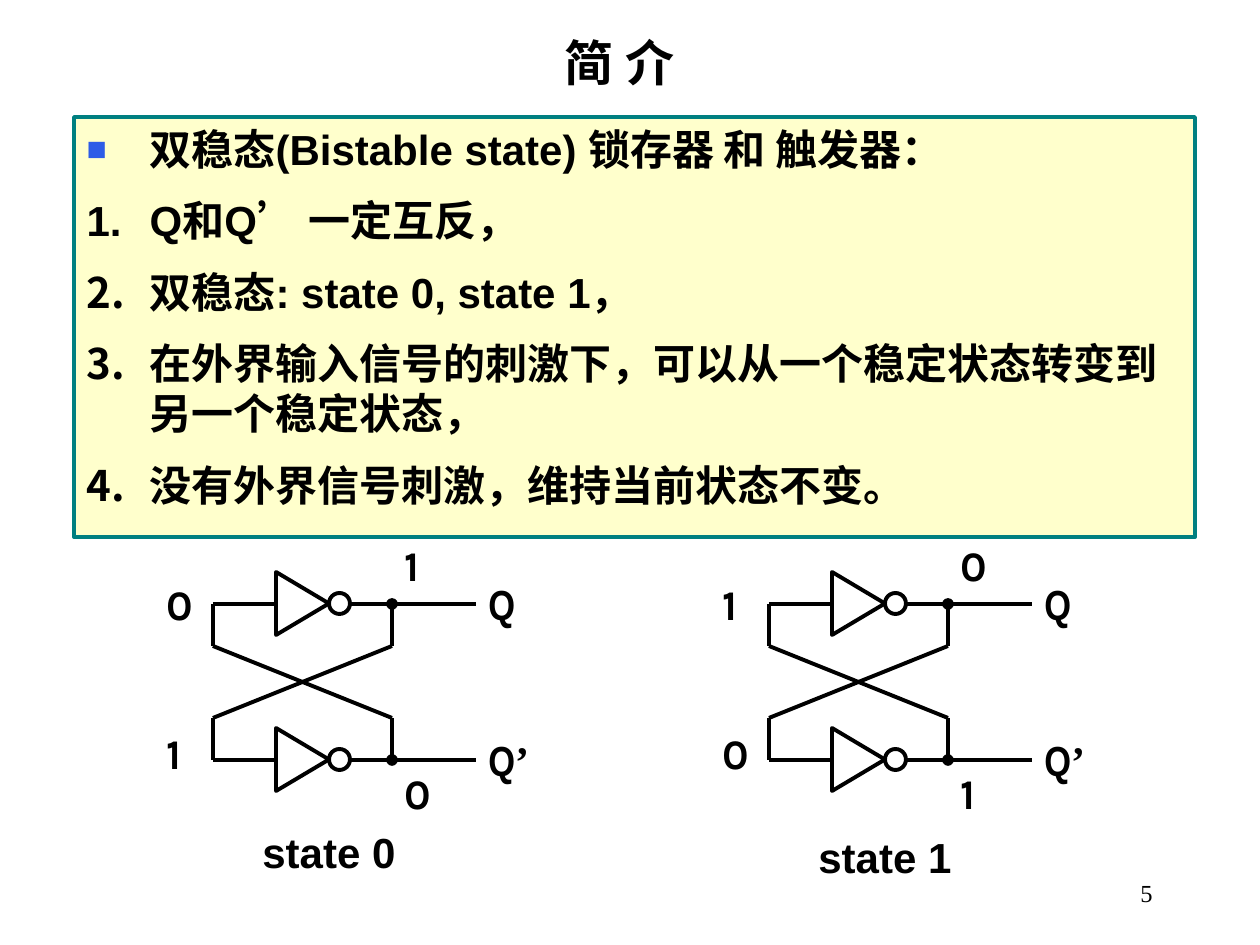
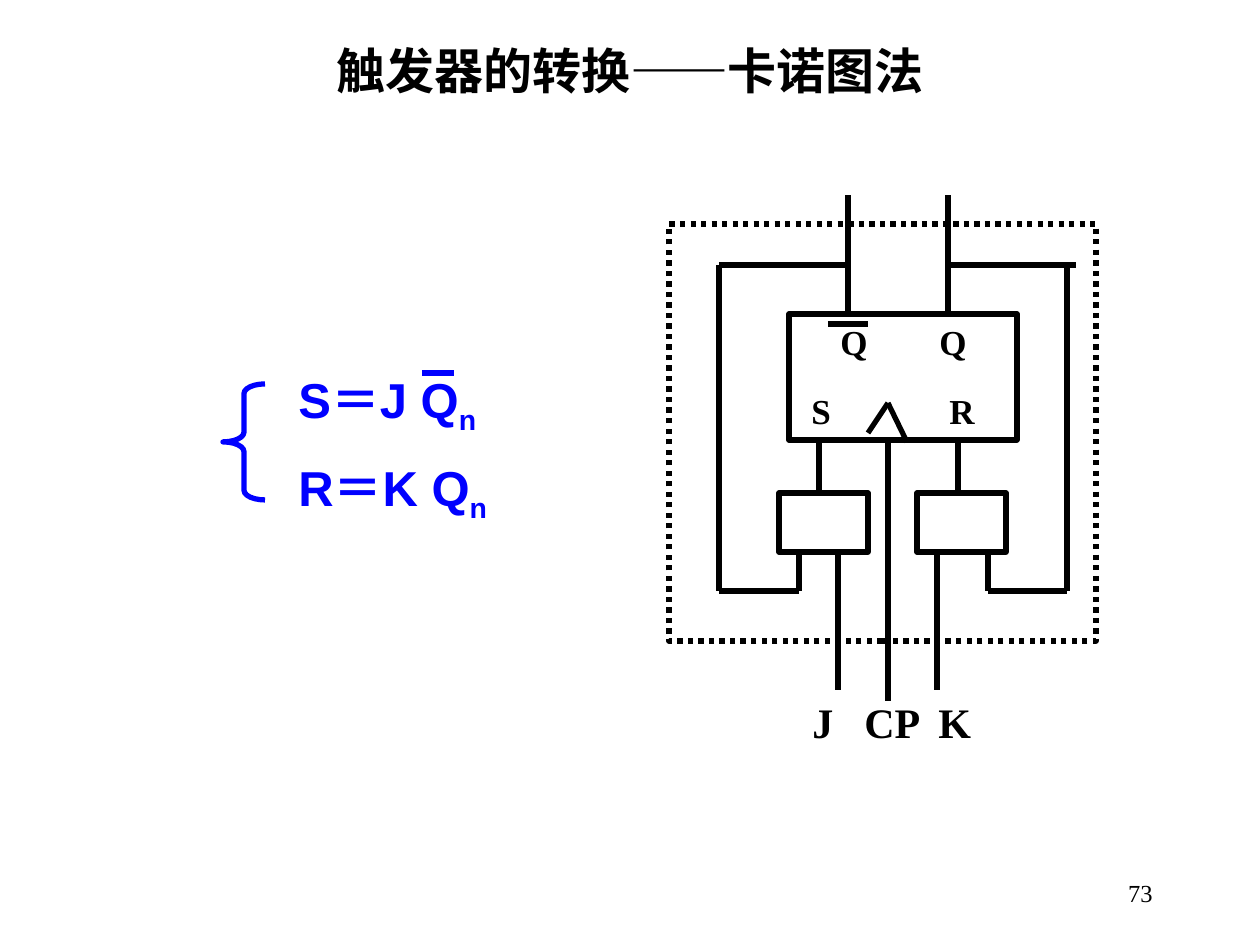
"""Builds two slides on bistable latches and flip-flop conversion."""
from lxml import etree
from pptx import Presentation, util as u
from pptx.dml.color import RGBColor
from pptx.enum import dml, shapes, text
from pptx.oxml.ns import qn

SCALE = 914400 / 126
INK, BLUE, CREAM, TEAL, MARK = "000000", "0000FF", "FFFFCC", "007F80", "2D5CE7"
SANS, SERIF, SLIM, DIGIT = "Arial", "Times New Roman", "Arial Narrow", "Karla"
HAN = "Noto Sans CJK SC"
LEFT, RIGHT, MID = text.PP_ALIGN.LEFT, text.PP_ALIGN.RIGHT, text.PP_ALIGN.CENTER
KIND = shapes.MSO_SHAPE


def px(*nums):
    """Turn pixel lengths into EMU."""
    return [u.Emu(round(n * SCALE)) for n in nums]


def tint(hue):
    """Return the colour for a hex string."""
    return RGBColor.from_string(hue)


def add(node, tag, **attrs):
    """Append a drawing element to a node."""
    return etree.SubElement(node, qn(tag), **attrs)


def style(run, size, face=SANS, hue=INK, bold=True):
    """Format one run for Latin and Chinese text."""
    font = run.font
    font.size, font.name, font.bold = u.Pt(size), face, bold
    font.color.rgb = tint(hue)
    latin = run._r.get_or_add_rPr().find(qn("a:latin"))
    east = etree.Element(qn("a:ea"), typeface=HAN)
    latin.addnext(east)


def place(shape, box):
    """Move a placeholder to a box."""
    shape.left, shape.top, shape.width, shape.height = px(*box)


def label(slide, words, box, size, face=SANS, align=LEFT, bold=True):
    """Add one line of text."""
    item = slide.shapes.add_textbox(*px(*box))
    frame = item.text_frame
    frame.word_wrap = True
    para = frame.paragraphs[0]
    para.text, para.alignment = words, align
    style(para.runs[0], size, face, bold=bold)
    return item


def outline(slide, kind, box, width, hue=INK):
    """Add an unfilled preset shape."""
    item = slide.shapes.add_shape(kind, *px(*box))
    item.shadow.inherit = False
    item.fill.background()
    item.line.color.rgb, item.line.width = tint(hue), u.Pt(width)
    return item


def wire(slide, ends, width, hue=INK, dot=False):
    """Draw a straight line, with a dot at its start if asked."""
    item = slide.shapes.add_connector(shapes.MSO_CONNECTOR.STRAIGHT, *px(*ends))
    item.line.color.rgb, item.line.width = tint(hue), u.Pt(width)
    if dot:
        add(item.line._get_or_add_ln(), "a:headEnd", type="oval")
    add(item._element.spPr, "a:effectLst")


def start(deck, layout, words, box, number):
    """Add a slide with its title and number."""
    slide = deck.slides.add_slide(deck.slide_layouts[layout])
    title = slide.shapes.title
    place(title, box)
    frame = title.text_frame
    frame.text = words
    frame.auto_size = text.MSO_AUTO_SIZE.NONE
    frame.paragraphs[0].alignment = MID
    style(frame.paragraphs[0].runs[0], 28)
    page = label(slide, number, (903, 861, 262, 63), 14, SERIF, RIGHT, False)
    page.text_frame.vertical_anchor = text.MSO_ANCHOR.MIDDLE
    return slide


def points(slide, lines, box):
    """Fill the framed list: a square bullet, then numbers."""
    body = slide.placeholders[1]
    place(body, box)
    body.fill.solid()
    body.fill.fore_color.rgb = tint(CREAM)
    body.line.color.rgb, body.line.width = tint(TEAL), u.Pt(2.25)
    frame = body.text_frame
    frame.text = "\n".join(lines)
    frame.auto_size = text.MSO_AUTO_SIZE.NONE
    for row, para in enumerate(frame.paragraphs):
        para.space_before = u.Pt(12 if row else 0)
        style(para.runs[0], 24)
        props = para._p.get_or_add_pPr()
        props.set("marL", str(u.Inches(0.5)))
        props.set("indent", str(-u.Inches(0.5)))
        if row:
            add(props, "a:buFont", typeface=SANS)
            add(props, "a:buAutoNum", type="arabicPeriod")
        else:
            add(add(props, "a:buClr"), "a:srgbClr", val=MARK)
            add(props, "a:buSzPct", val="80000")
            add(props, "a:buFont", typeface=SANS)
            add(props, "a:buChar", char="■")


def gate(slide, x, y):
    """Draw an inverter with its input and output wires."""
    cone = outline(slide, KIND.ISOSCELES_TRIANGLE, (x + 58, y - 27, 63, 53), 2.25)
    cone.rotation = 90
    outline(slide, KIND.OVAL, (x + 116, y - 11, 21, 21), 2.25)
    for a, b in ((0, 63), (137, 263)):
        wire(slide, (x + a, y, x + b, y), 2.25)


def latch(slide, x, y, state, drop):
    """Draw two crossed inverters holding a state."""
    gap, stub, node = 156, 42, 179
    low = y + gap
    for row in (y, low):
        gate(slide, x, row)
    for row, turn in ((y, y + stub), (low, low - stub)):
        wire(slide, (x + node, row, x + node, turn), 2.25, dot=True)
        wire(slide, (x, row, x, turn), 2.25)
    wire(slide, (x, y + stub, x + node, low - stub), 2.25)
    wire(slide, (x, low - stub, x + node, y + stub), 2.25)
    label(slide, "Q", (x + 263, y - 32, 60, 63), 24, SLIM)
    tail = label(slide, "Q", (x + 263, low - 32, 80, 63), 24, SLIM)
    prime = tail.text_frame.paragraphs[0].add_run()
    prime.text = "’"
    style(prime, 24, SERIF)
    spots = ((-59, -32, state), (node, -71, 1 - state),
             (-59, 117, 1 - state), (node, 157, state))
    for dx, dy, bit in spots:
        label(slide, str(bit), (x + dx, y + dy, 52, 63), 24, DIGIT)
    label(slide, f"state {state}", (x + 37, y + drop, 180, 64), 24)


def flip(slide, x, y):
    """Draw the RS core, its two gates and the feedback loops."""
    outline(slide, KIND.RECTANGLE, (x + 120, y + 90, 228, 126), 3)
    for dx in (110, 248):
        outline(slide, KIND.RECTANGLE, (x + dx, y + 269, 89, 59), 3)
    clock = [(219, 179, 199, 209), (219, 179, 238, 218), (219, 218, 219, 477)]
    inputs = [(dx, 328, dx, 466) for dx in (169, 268)]
    drives = [(dx, 218, dx, 269) for dx in (150, 289)]
    outs = [(dx, 90, dx, -29) for dx in (179, 279)]
    loops = [(50, 41, 179, 41), (279, 41, 407, 41)]
    for side, pin in ((50, 130), (398, 319)):
        loops += [(side, 41, side, 367), (side, 367, pin, 367),
                  (pin, 328, pin, 367)]
    bar = [(159, 100, 199, 100)]
    for a, b, c, d in clock + inputs + drives + outs + loops + bar:
        wire(slide, (x + a, y + b, x + c, y + d), 3)
    for words, dx, dy in (("Q", 159, 90), ("Q", 258, 90),
                          ("S", 130, 159), ("R", 268, 159)):
        label(slide, words, (x + dx, y + dy, 52, 54), 20, SERIF)
    for words, dx in (("J", 131), ("CP", 183), ("K", 257)):
        label(slide, words, (x + dx, y + 466, 90, 63), 24, SERIF)
    frame = outline(slide, KIND.RECTANGLE, (x, y, 427, 417), 3)
    frame.line.dash_style = dml.MSO_LINE.ROUND_DOT


def rules(slide, x, y):
    """Write the braced pair of equations."""
    item = slide.shapes.add_textbox(*px(x + 63, y - 21, 294, 161))
    frame = item.text_frame
    frame.word_wrap = True
    frame.text = "S＝J Q\nR＝K Q"
    for row, para in enumerate(frame.paragraphs):
        para.space_before = u.Pt(12 if row else 0)
        sub = para.add_run()
        sub.text = "n"
        for run in para.runs:
            style(run, 28, hue=BLUE)
        sub._r.get_or_add_rPr().set("baseline", "-25000")
    brace = outline(slide, KIND.LEFT_BRACE, (x, y, 42, 116), 3, BLUE)
    brace.adjustments[0] = 0.23
    wire(slide, (x + 199, y - 11, x + 231, y - 11), 3, BLUE)


def main():
    """Build and save both slides."""
    deck = Presentation()
    deck.slide_width, deck.slide_height = px(1260, 945)
    intro = start(deck, 1, "简 介", (292, 26, 655, 72), "5")
    points(intro, ["双稳态(Bistable state) 锁存器 和 触发器：",
                   "Q和Q’ 一定互反，",
                   "双稳态: state 0, state 1，",
                   "在外界输入信号的刺激下，可以从一个稳定状态转变到另一个稳定状态，",
                   "没有外界信号刺激，维持当前状态不变。"], (74, 117, 1121, 420))
    latch(intro, 213, 604, 0, 216)
    latch(intro, 769, 604, 1, 221)
    swap = start(deck, 5, "触发器的转换——卡诺图法", (0, 34, 1260, 72), "73")
    flip(swap, 669, 224)
    rules(swap, 223, 384)
    deck.save("out.pptx")


if __name__ == "__main__":
    main()
